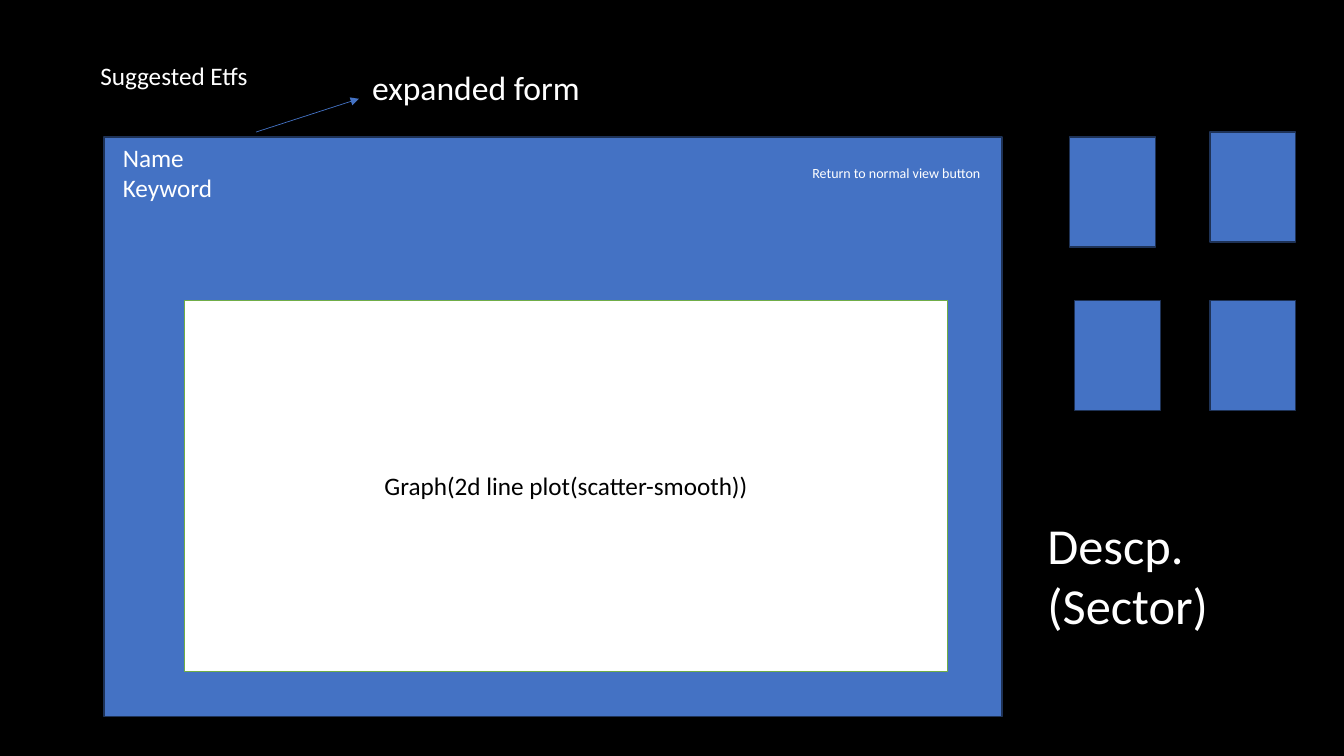
from lxml import etree
from pptx import Presentation
from pptx import util as u
from pptx.dml.color import RGBColor
from pptx.enum import shapes, text
from pptx.oxml import ns

PX = 9144  # EMU per px, 100 px to the inch
SIZE = (1333, 750)
FONT = "Calibri"
HUES = {
    "back": "000000", "blue": "4472C4", "navy": "1E3256",
    "green": "70AD47", "white": "FFFFFF", "black": "000000",
}

PANEL = (103, 136, 891, 575)
TILE = (85, 109)
TILES = [(1061, 136), (1200, 131), (1066, 298), (1200, 298)]
GRAPH = (183, 298, 757, 368)
GRAPH_TEXT = "Graph(2d line plot(scatter-smooth))"
ARROW = (254, 131, 356, 98)

# lines, box, format
LABELS = [
    ("Suggested Etfs", (-60, 55, 465, 40), dict(mid=True)),
    ("Name\vKeyword", (112, 136, 136, 131), {}),
    ("expanded form", (358, 61, 228, 50), dict(size=24, mid=True, wrap=False)),
    ("Descp.\v(Sector)", (1029, 505, 192, 131), dict(size=36)),
    ("Return to normal view button", (794, 158, 190, 27),
     dict(size=10, mid=True, wrap=False)),
]


def emu(nums):
    return [n * PX for n in nums]


def hue(name):
    return RGBColor.from_string(HUES[name])


def write(shape, words, size=18, color="white", mid=False, wrap=True):
    frame = shape.text_frame
    frame.word_wrap = wrap
    para = frame.paragraphs[0]
    para.text = words
    para.alignment = text.PP_ALIGN.CENTER if mid else text.PP_ALIGN.LEFT
    for run in para.runs:
        run.font.name = FONT
        run.font.size = u.Pt(size)
        run.font.color.rgb = hue(color)


def add_box(slide, box, fill="blue", line="navy"):
    rect = slide.shapes.add_shape(shapes.MSO_SHAPE.RECTANGLE, *emu(box))
    rect.shadow.inherit = False
    rect.fill.solid()
    rect.fill.fore_color.rgb = hue(fill)
    rect.line.color.rgb = hue(line)
    rect.line.width = u.Pt(1)
    return rect


def add_arrow(slide, ends):
    arrow = slide.shapes.add_connector(
        shapes.MSO_CONNECTOR.STRAIGHT, *emu(ends))
    arrow.line.color.rgb = hue("blue")
    arrow.line.width = u.Pt(0.5)
    etree.SubElement(arrow.line._get_or_add_ln(), ns.qn("a:tailEnd"),
                     type="triangle")
    etree.SubElement(arrow._element.spPr, ns.qn("a:effectLst"))


def main():
    deck = Presentation()
    deck.slide_width, deck.slide_height = emu(SIZE)
    slide = deck.slides.add_slide(deck.slide_layouts[6])
    slide.background.fill.solid()
    slide.background.fill.fore_color.rgb = hue("back")

    add_box(slide, PANEL)
    for spot in TILES:
        add_box(slide, spot + TILE)
    graph = add_box(slide, GRAPH, fill="white", line="green")
    graph.text_frame.vertical_anchor = text.MSO_ANCHOR.MIDDLE
    write(graph, GRAPH_TEXT, color="black", mid=True)
    add_arrow(slide, ARROW)
    for words, box, style in LABELS:
        write(slide.shapes.add_textbox(*emu(box)), words, **style)

    deck.save("out.pptx")


if __name__ == "__main__":
    main()
